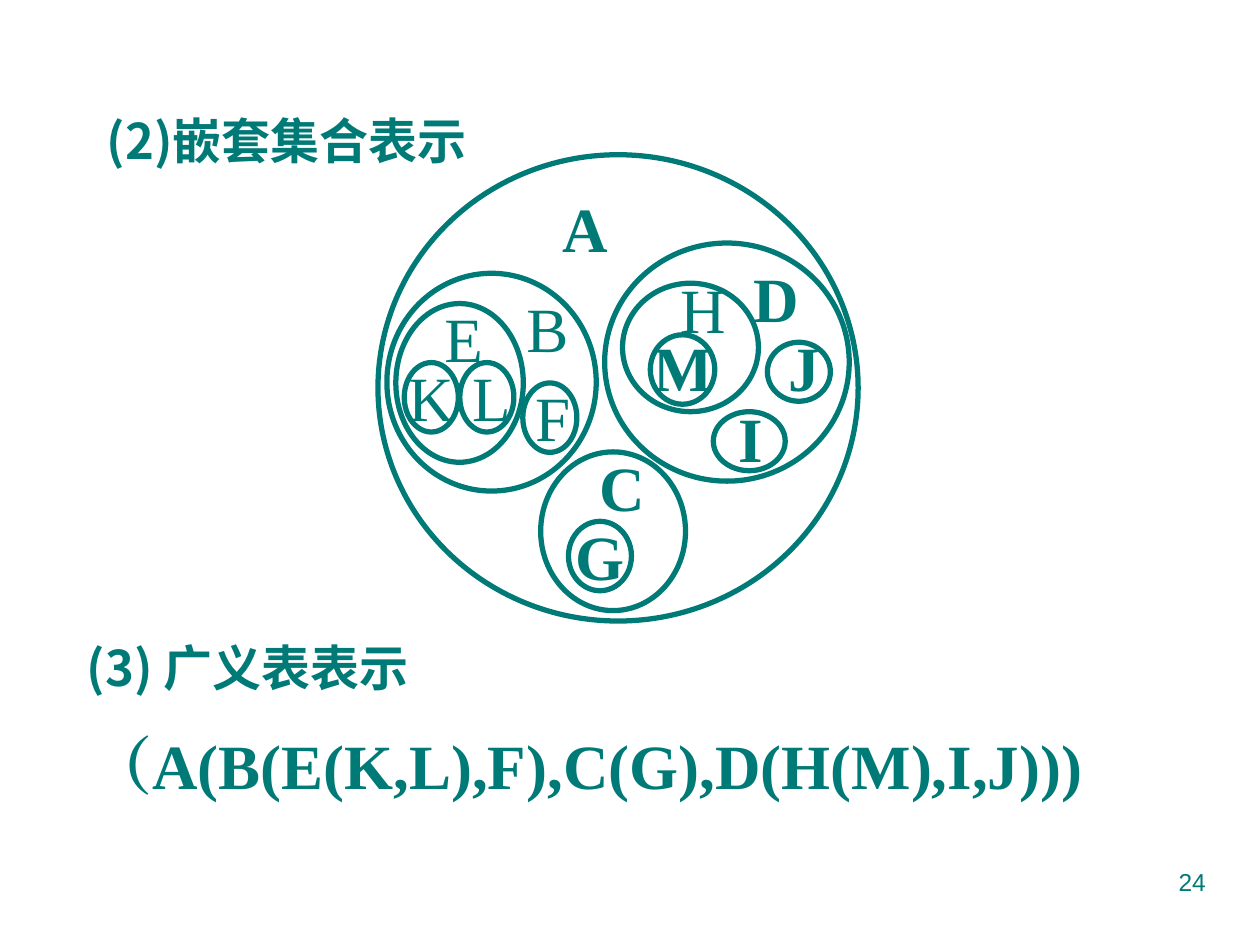
from pptx import Presentation
from pptx import util as u
from pptx.dml.color import RGBColor
from pptx.enum import shapes, text
from pptx.oxml import ns
from lxml import etree

TEAL = RGBColor(0x00, 0x7A, 0x77)
HEAD = {"name": "Noto Sans CJK JP", "size": u.Pt(28), "bold": True}
MATH = {"name": "Times New Roman", "size": u.Pt(36), "bold": True}
PLAIN = {**MATH, "bold": False}
PAGE = {"name": "Arial", "size": u.Pt(14), "bold": False}

# name: (ring left, top, width, height), (label left, top, width), format
SETS = {
    "A": ((0, 0, 9.68, 9.4), (3.48, 0.58, 1.42), MATH),
    "B": ((0.18, 2.39, 4.22, 4.39), (2.74, 2.59, 1.35), PLAIN),
    "D": ((4.57, 1.78, 4.93, 4.8), (7.32, 1.98, 1.42), MATH),
    "C": ((3.28, 5.99, 2.92, 3.2), (4.22, 5.79, 1.42), MATH),
    "E": ((0.36, 3, 2.57, 3.2), (1.09, 2.79, 1.27), PLAIN),
    "F": ((2.92, 4.6, 1.09, 1.4), (2.92, 4.39, 1.22), PLAIN),
    "K": ((0.53, 4.19, 1.09, 1.4), (0.36, 3.99, 1.42), PLAIN),
    "L": ((1.65, 4.19, 1.09, 1.4), (1.65, 3.99, 1.27), PLAIN),
    "G": ((3.84, 7.39, 1.27, 1.4), (3.73, 7.19, 1.5), MATH),
    "H": ((4.93, 2.59, 2.74, 2.59), (5.84, 2.21, 1.42), PLAIN),
    "M": ((5.49, 3.63, 1.3, 1.4), (5.31, 3.38, 1.7), MATH),
    "J": ((7.85, 3.78, 1.27, 1.19), (8.03, 3.38, 1.14), MATH),
    "I": ((6.76, 5.18, 1.45, 1.19), (7.01, 4.8, 0.99), MATH),
}


def fill(shape, words, form, wrap=True, align=text.PP_ALIGN.LEFT):
    frame = shape.text_frame
    frame.text = words
    looks = {"word_wrap": wrap, "auto_size": text.MSO_AUTO_SIZE.NONE,
             "vertical_anchor": text.MSO_ANCHOR.TOP}
    for key, val in looks.items():
        setattr(frame, key, val)
    line = frame.paragraphs[0]
    line.alignment = align
    font = line.runs[0].font
    for key, val in form.items():
        setattr(font, key, val)
    font.color.rgb = TEAL
    east = etree.Element(ns.qn("a:ea"), typeface=form["name"])
    line.runs[0]._r.rPr.find(ns.qn("a:latin")).addnext(east)


def write(slide, box, words, form, **opts):
    shape = slide.shapes.add_textbox(*map(u.Cm, box))
    fill(shape, words, form, **opts)


def title(slide, box, words):
    shape = slide.shapes.title
    for key, val in zip(("left", "top", "width", "height"), box):
        setattr(shape, key, u.Cm(val))
    fill(shape, words, HEAD)


def rings(slide, box):
    left, top = box
    for (x, y, w, h), _, _ in SETS.values():
        ring = slide.shapes.add_shape(
            shapes.MSO_SHAPE.OVAL, *map(u.Cm, (left + x, top + y, w, h)))
        ring.shadow.inherit = False
        ring.fill.background()
        ring.line.color.rgb = TEAL
        ring.line.width = u.Pt(3)
    for name, (_, (x, y, w), form) in SETS.items():
        write(slide, (left + x, top + y, w, 1.78), name, form, wrap=False)


def lists(slide, box):
    left, top = box
    write(slide, (left, top, 9.02, 1.45), "(3) 广义表表示", HEAD)
    write(slide, (left + 0.05, top + 1.8, 20.83, 1.78),
          "（A(B(E(K,L),F),C(G),D(H(M),I,J)))", MATH, wrap=False)


def main():
    deck = Presentation()
    deck.slide_width, deck.slide_height = u.Cm(25.4), u.Cm(19.05)
    slide = deck.slides.add_slide(deck.slide_layouts[5])
    title(slide, (1.9, 2.11, 8.99, 1.45), "(2)嵌套集合表示")
    lists(slide, (1.5, 12.73))
    rings(slide, (7.62, 3.12))
    write(slide, (18.21, 17.35, 6.35, 1.32), "24", PAGE,
          align=text.PP_ALIGN.RIGHT)
    deck.save("out.pptx")


if __name__ == "__main__":
    main()
